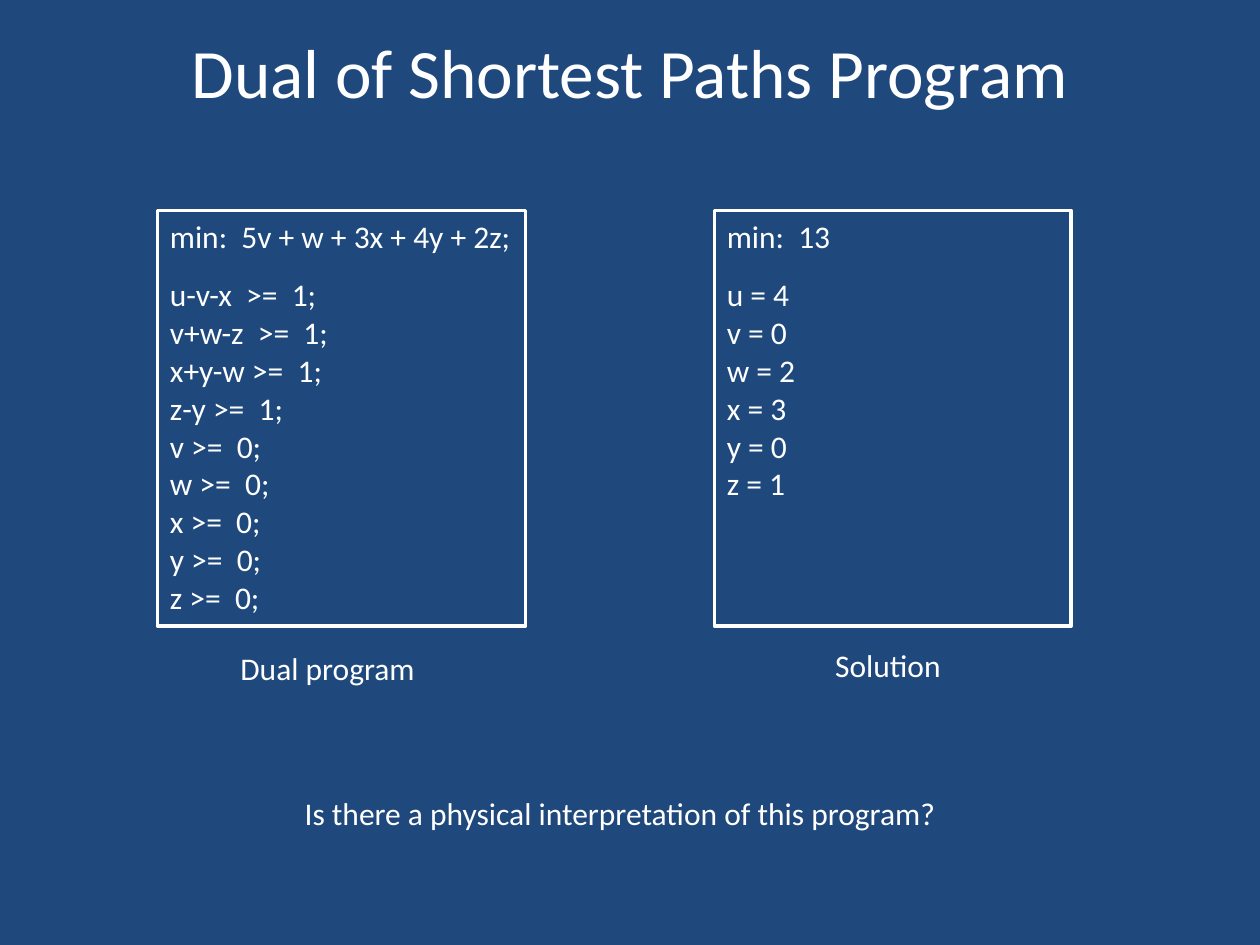
"""Build the slide on the dual of the shortest paths program."""
from pptx import Presentation
from pptx.dml.color import RGBColor
from pptx.enum.shapes import MSO_SHAPE
from pptx.enum.text import MSO_ANCHOR, PP_ALIGN
from pptx.util import Inches, Pt

NAVY = RGBColor(0x1F, 0x49, 0x7D)
WHITE = RGBColor(0xFF, 0xFF, 0xFF)
RECT = MSO_SHAPE.RECTANGLE
TOP, MIDDLE = MSO_ANCHOR.TOP, MSO_ANCHOR.MIDDLE
LEFT, CENTER = PP_ALIGN.LEFT, PP_ALIGN.CENTER
BOX_TOP, BOX_HEIGHT = 1.67, 3.3
LABEL_HEIGHT = 0.4


def add_lines(sp, lines, size=18, align=LEFT, anchor=TOP, wrap=True):
    tf = sp.text_frame
    tf.word_wrap = wrap
    tf.vertical_anchor = anchor
    for i, line in enumerate(lines):
        p = tf.add_paragraph() if i else tf.paragraphs[0]
        p.alignment = align
        r = p.add_run()
        r.text = line
        r.font.name = "Calibri"
        r.font.size = Pt(size)
        r.font.color.rgb = WHITE


prs = Presentation()
prs.slide_width, prs.slide_height = Inches(10), Inches(7.5)
s = prs.slides.add_slide(prs.slide_layouts[6])
s.background.fill.solid()
s.background.fill.fore_color.rgb = NAVY

title = s.shapes.add_textbox(Inches(0.5), Inches(0.17), Inches(9), Inches(0.78))
add_lines(title, ["Dual of Shortest Paths Program"], 39.6, CENTER, MIDDLE)

constraints = ["u-v-x  >=  1;", "v+w-z  >=  1;", "x+y-w >=  1;", "z-y >=  1;"]
bounds = [f"{name} >=  0;" for name in "vwxyz"]
values = [f"{name} = {value}" for name, value in zip("uvwxyz", (4, 0, 2, 3, 0, 1))]
boxes = [
    (1.25, 2.92, ["min:  5v + w + 3x + 4y + 2z;"] + constraints + bounds),
    (5.67, 2.83, ["min:  13"] + values),
]
for left, width, lines in boxes:
    sp = s.shapes.add_shape(RECT, Inches(left), Inches(BOX_TOP),
                            Inches(width), Inches(BOX_HEIGHT))
    sp.shadow.inherit = False
    sp.fill.background()
    sp.line.color.rgb = WHITE
    sp.line.width = Pt(2)
    add_lines(sp, lines)
    sp.text_frame.paragraphs[0].space_after = Pt(12)

labels = [
    (1.81, 5.1, 1.6, "Dual program"),
    (6.53, 5.08, 1.05, "Solution"),
    (2.32, 6.25, 5.27, "Is there a physical interpretation of this program?"),
]
for left, top, width, text in labels:
    sp = s.shapes.add_textbox(Inches(left), Inches(top),
                              Inches(width), Inches(LABEL_HEIGHT))
    add_lines(sp, [text], wrap=False)

prs.save("out.pptx")
